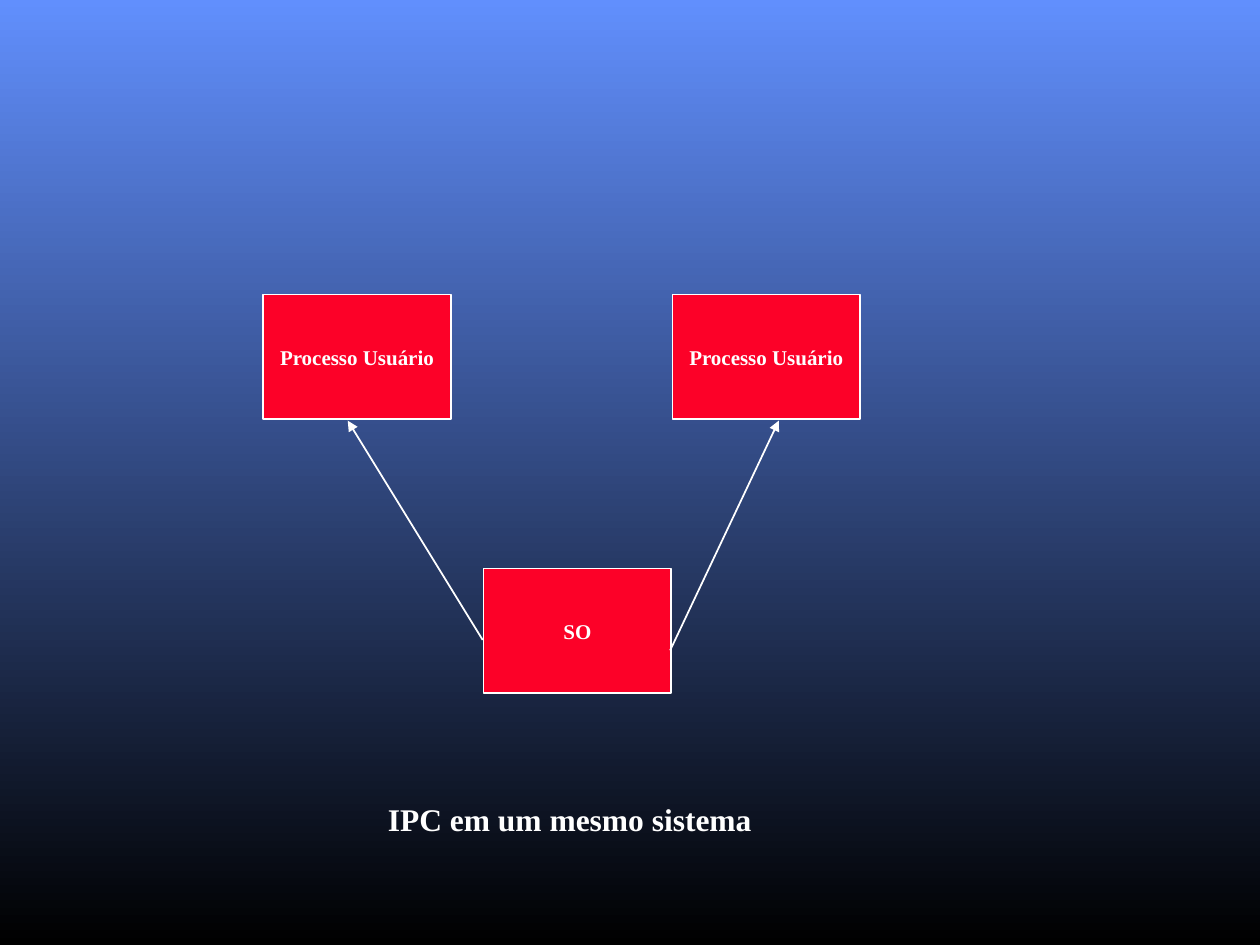
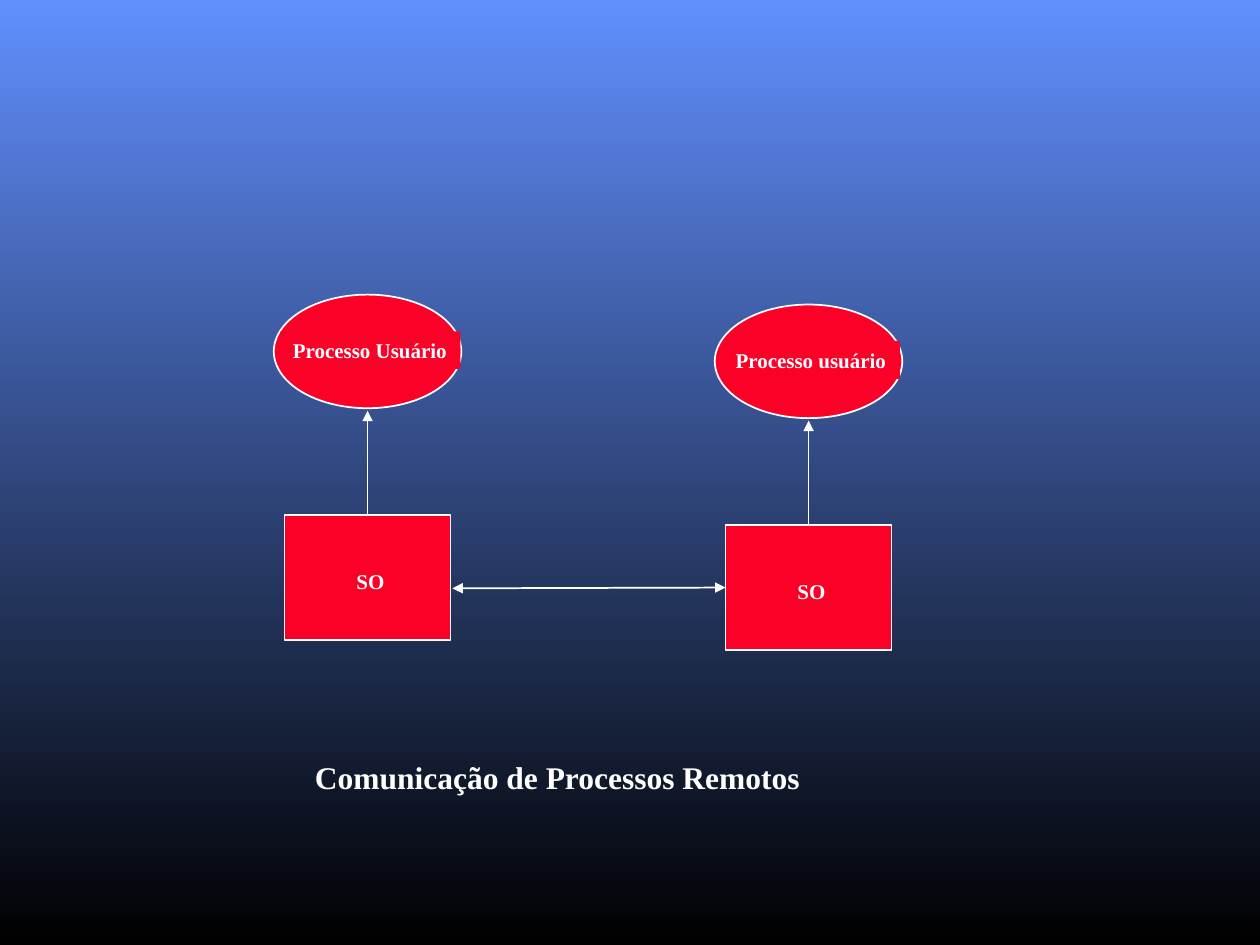
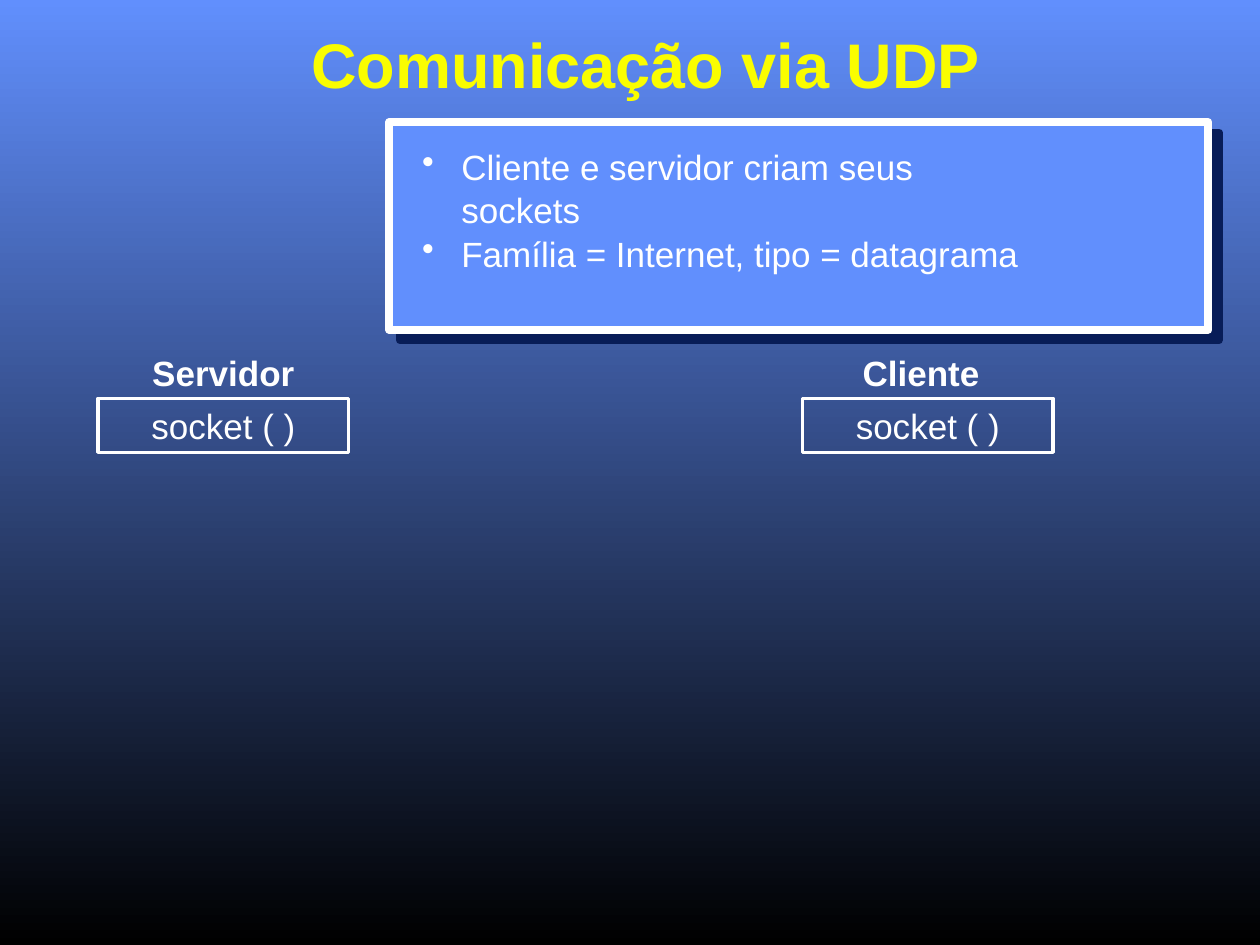
"""Build three slides on process communication and UDP sockets."""
from dataclasses import dataclass

from lxml import etree
from pptx import Presentation
from pptx import util as u
from pptx.dml.color import RGBColor
from pptx.enum import shapes, text
from pptx.oxml import ns


@dataclass(frozen=True)
class Theme:
    sky: str = "618FFD"
    night: str = "000000"
    red: str = "FC0128"
    white: str = "FFFFFF"
    yellow: str = "FAFD00"
    shade: str = "081D58"
    serif: str = "Times New Roman"
    sans: str = "Arial"
    node_size: int = 12
    caption_size: int = 18
    body_size: int = 20
    title_size: int = 36
    thin: float = 1
    medium: float = 2
    thick: float = 4.5


THEME = Theme()
RECTANGLE = shapes.MSO_SHAPE.RECTANGLE
OVAL = shapes.MSO_SHAPE.OVAL
CENTER = text.PP_ALIGN.CENTER
MIDDLE = text.MSO_ANCHOR.MIDDLE

LOCAL_CAPTION = ("IPC em um mesmo sistema", (7.57, 16, 7.85, 1.02))
LOCAL_NODE_SIZE = (3.78, 2.51)
LOCAL_NODES = [
    ("Processo Usuário", (5.31, 5.94)),
    ("Processo Usuário", (13.56, 5.94)),
    ("SO", (9.75, 11.46)),
]
LOCAL_ARROWS = [
    ((7.01, 8.48), (9.73, 12.9)),
    ((15.7, 8.48), (13.51, 13.11)),
]

REMOTE_CAPTION = ("Comunicação de Processos Remotos", (6.1, 15.16, 10.29, 1.02))
REMOTE_HOSTS = [("Processo Usuário", 3.63), ("Processo usuário", 3.56)]
HOST_CENTER, HOST_STEP = 7.41, (8.89, 0.2)
LABEL_SHIFT, LABEL_HEIGHT = 0.06, 0.76
PROCESS_TOP, PROCESS_SIZE, PROCESS_LABEL_TOP = 5.94, (3.78, 2.29), 6.68
SYSTEM_TOP, SYSTEM_SIZE, SYSTEM_LABEL_TOP = 10.39, (3.35, 2.51), 11.33
SYSTEM_LABEL = ("SO", 1.07)
HOST_ARROW_TOP = 8.28
NETWORK_START = (9.12, 11.86)

UDP_TITLE = ("Comunicação via UDP", (3.18, 0.56, 19.68, 1.63))
UDP_PANEL = (7.85, 2.46, 16.51, 4.19)
UDP_LIST = (8.26, 2.77, 12.65, 2.7)
UDP_POINTS = ["Cliente e servidor criam seus sockets",
              "Família = Internet, tipo = datagrama"]
BULLET_INDENT = 0.79
UDP_CALL = "socket ( )"
CALL_TOP, CALL_SIZE = 8.03, (5.05, 1.09)
UDP_ROLES = [
    ("Servidor", (2.82, 6.96, 3.38, 1.09), 1.98),
    ("Cliente", (17.14, 6.96, 2.87, 1.09), 16.18),
]


def lengths(values):
    return [u.Cm(value) for value in values]


def rgb(color):
    return RGBColor.from_string(color)


def add_xml(parent, tag, **attributes):
    return etree.SubElement(parent, ns.qn(tag), attributes)


def style_font(paragraph, size, name, bold=True, color=THEME.white):
    font = paragraph.font
    font.size, font.name, font.bold = u.Pt(size), name, bold
    font.color.rgb = rgb(color)


def write(shape, words, size, name, bold=True, color=THEME.white, align=None):
    frame = shape.text_frame
    frame.word_wrap = False
    frame.text = words
    paragraph = frame.paragraphs[0]
    paragraph.alignment = align
    style_font(paragraph, size, name, bold, color)
    return frame


def add_box(slide, kind, box, fill=THEME.red, width=THEME.thin):
    shape = slide.shapes.add_shape(kind, *lengths(box))
    shape.shadow.inherit = False
    if fill:
        shape.fill.solid()
        shape.fill.fore_color.rgb = rgb(fill)
    else:
        shape.fill.background()
    shape.line.color.rgb = rgb(THEME.white)
    shape.line.width = u.Pt(width)
    return shape


def add_label(slide, words, box, size, name, fill=None):
    label = slide.shapes.add_textbox(*lengths(box))
    if fill:
        label.fill.solid()
        label.fill.fore_color.rgb = rgb(fill)
    frame = write(label, words, size, name)
    frame.auto_size = text.MSO_AUTO_SIZE.SHAPE_TO_FIT_TEXT


def add_caption(slide, caption):
    add_label(slide, *caption, THEME.caption_size, THEME.serif)


def add_arrow(slide, start, end, heads=("a:headEnd",)):
    arrow = slide.shapes.add_connector(
        shapes.MSO_CONNECTOR.STRAIGHT, *lengths(start + end))
    arrow.line.color.rgb = rgb(THEME.white)
    arrow.line.width = u.Pt(THEME.thin)
    for head in heads:
        add_xml(arrow.line._get_or_add_ln(), head, type="triangle")
    add_xml(arrow._element.spPr, "a:effectLst")
    return arrow


def build_local(slide):
    for words, corner in LOCAL_NODES:
        node = add_box(slide, RECTANGLE, corner + LOCAL_NODE_SIZE)
        frame = write(node, words, THEME.node_size, THEME.serif, align=CENTER)
        frame.vertical_anchor = MIDDLE
    for start, end in LOCAL_ARROWS:
        add_arrow(slide, start, end)
    add_caption(slide, LOCAL_CAPTION)


def build_remote(slide):
    for index, process in enumerate(REMOTE_HOSTS):
        center = HOST_CENTER + index * HOST_STEP[0]
        drop = index * HOST_STEP[1]

        def centered(top, width, height, shift=0):
            return center + shift - width / 2, top + drop, width, height

        system = add_box(slide, RECTANGLE, centered(SYSTEM_TOP, *SYSTEM_SIZE))
        add_box(slide, OVAL, centered(PROCESS_TOP, *PROCESS_SIZE))
        arrow = add_arrow(slide, (center, HOST_ARROW_TOP + drop),
                          (center, SYSTEM_TOP + drop))
        arrow.end_connect(system, 0)
        for (words, width), top in ((process, PROCESS_LABEL_TOP),
                                    (SYSTEM_LABEL, SYSTEM_LABEL_TOP)):
            add_label(slide, words,
                      centered(top, width, LABEL_HEIGHT, LABEL_SHIFT),
                      THEME.node_size, THEME.serif, THEME.red)
    network = add_arrow(slide, NETWORK_START, NETWORK_START,
                        ("a:headEnd", "a:tailEnd"))
    network.end_connect(system, 1)
    add_caption(slide, REMOTE_CAPTION)


def add_panel(slide):
    panel = add_box(slide, RECTANGLE, UDP_PANEL, THEME.sky, THEME.thick)
    effects = panel._element.spPr.find(ns.qn("a:effectLst"))
    shadow = add_xml(effects, "a:outerShdw", dist=str(u.Pt(8.5)),
                     dir="2700000", algn="ctr", rotWithShape="0")
    add_xml(shadow, "a:srgbClr", val=THEME.shade)


def add_points(slide):
    frame = slide.shapes.add_textbox(*lengths(UDP_LIST)).text_frame
    frame.word_wrap = True
    frame.text = "\n".join(UDP_POINTS)
    for paragraph in frame.paragraphs:
        paragraph.line_spacing = 1.04
        properties = paragraph._p.get_or_add_pPr()
        properties.set("marL", str(u.Cm(BULLET_INDENT)))
        properties.set("indent", str(-u.Cm(BULLET_INDENT)))
        bullet_color = add_xml(properties, "a:buClr")
        add_xml(bullet_color, "a:srgbClr", val=THEME.white)
        add_xml(properties, "a:buChar", char="•")
        style_font(paragraph, THEME.body_size, THEME.sans, bold=False)


def build_udp(slide):
    words, box = UDP_TITLE
    title = slide.shapes.add_textbox(*lengths(box))
    frame = write(title, words, THEME.title_size, THEME.sans,
                  color=THEME.yellow, align=CENTER)
    frame.word_wrap = True
    frame.vertical_anchor = MIDDLE
    frame.paragraphs[0].line_spacing = 0.9
    for role, label_box, left in UDP_ROLES:
        add_label(slide, role, label_box, THEME.body_size, THEME.sans)
        call = add_box(slide, RECTANGLE, (left, CALL_TOP) + CALL_SIZE,
                       None, THEME.medium)
        frame = write(call, UDP_CALL, THEME.body_size, THEME.sans,
                      bold=False, align=CENTER)
        frame.vertical_anchor = MIDDLE
    add_panel(slide)
    add_points(slide)


def paint_background(master):
    fill = master.background.fill
    fill.gradient()
    fill.gradient_angle = 270
    for stop, color in zip(fill.gradient_stops, (THEME.sky, THEME.night)):
        stop.color.rgb = rgb(color)


def main():
    presentation = Presentation()
    presentation.slide_width, presentation.slide_height = lengths((25.4, 19.05))
    paint_background(presentation.slide_master)
    for build in (build_local, build_remote, build_udp):
        build(presentation.slides.add_slide(presentation.slide_layouts[6]))
    presentation.save("out.pptx")


if __name__ == "__main__":
    main()
